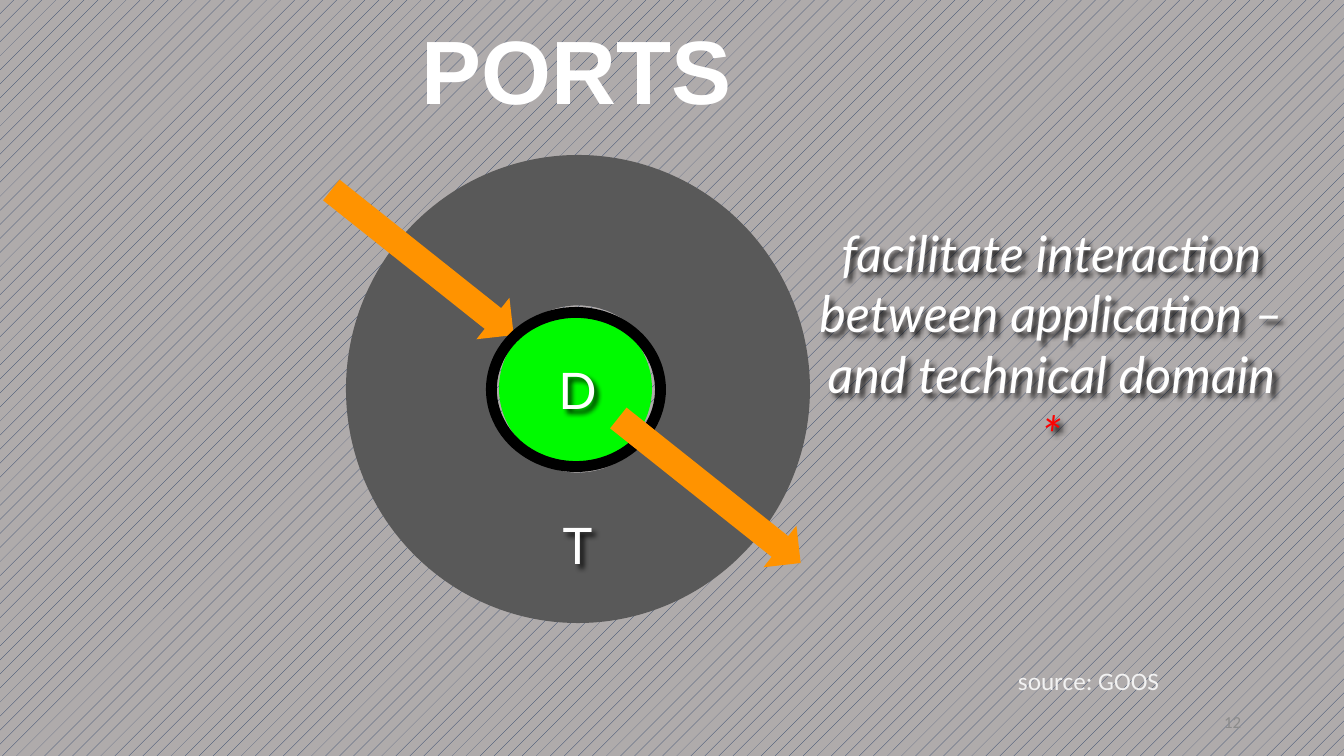
import pptx
import pptx.util
import pptx.dml.color
import pptx.enum.dml
import pptx.enum.shapes
import pptx.enum.text
import pptx.oxml
import pptx.oxml.ns

PX = 9144000 / 1008
SHAPES = pptx.enum.shapes.MSO_SHAPE
ALIGN = pptx.enum.text.PP_ALIGN
ANCHOR = pptx.enum.text.MSO_ANCHOR
WHITE = "FFFFFF"
ORANGE = "FF9300"


def px(*lengths):
    return [pptx.util.Emu(round(length * PX)) for length in lengths]


def color(value):
    return pptx.dml.color.RGBColor.from_string(value)


class SlideBuilder:
    LABEL = {"name": "Lato", "size": pptx.util.Pt(36)}
    TITLE = {"name": "Arial", "size": pptx.util.Pt(64.3), "bold": True}
    SOURCE = {"name": "Calibri", "size": pptx.util.Pt(18)}
    NUMBER = {"name": "Calibri", "size": pptx.util.Pt(12)}

    def __init__(self, presentation):
        self.slide = presentation.slides.add_slide(presentation.slide_layouts[6])

    def background(self, pattern, foreground, background):
        fill = self.slide.background.fill
        fill.patterned()
        fill.pattern = pattern
        fill.fore_color.rgb = color(foreground)
        fill.back_color.rgb = color(background)

    def shape(self, kind, box, fill, adjustment=None, rotation=0):
        shape = self.slide.shapes.add_shape(kind, *px(*box))
        shape.shadow.inherit = False
        shape.fill.solid()
        shape.fill.fore_color.rgb = color(fill)
        shape.line.fill.background()
        shape.rotation = rotation
        if adjustment is not None:
            shape.adjustments[0] = adjustment

    def text(self, box, runs, style, align=ALIGN.CENTER, anchor=ANCHOR.TOP,
             wrap=True, spacing=None, shadow=False):
        """Add one paragraph; runs are pairs of text and colour."""
        shape = self.slide.shapes.add_textbox(*px(*box))
        frame = shape.text_frame
        frame.word_wrap = wrap
        frame.vertical_anchor = anchor
        paragraph = frame.paragraphs[0]
        paragraph.alignment = align
        paragraph.line_spacing = spacing
        for words, tint in runs:
            run = paragraph.add_run()
            run.text = words
            run.font.color.rgb = color(tint)
            for name, value in style.items():
                setattr(run.font, name, value)
        if shadow:
            self.drop_shadow(shape)

    def drop_shadow(self, shape):
        shape._element.spPr.append(pptx.oxml.parse_xml(
            f'<a:effectLst {pptx.oxml.ns.nsdecls("a")}>'
            '<a:outerShdw blurRad="50800" dist="50800" dir="2700000" algn="tl">'
            '<a:srgbClr val="000000"><a:alpha val="80000"/></a:srgbClr>'
            '</a:outerShdw></a:effectLst>'))


def main():
    presentation = pptx.Presentation()
    presentation.slide_width, presentation.slide_height = px(1344, 756)
    builder = SlideBuilder(presentation)
    builder.background(pptx.enum.dml.MSO_PATTERN.PERCENT_5, "203864", "AFABAB")

    builder.shape(SHAPES.OVAL, (499, 312, 153, 153), "00FA00")
    builder.text((1008, 660, 163, 40), [("source: GOOS", "F2F2F2")],
                 builder.SOURCE, align=ALIGN.LEFT, wrap=False)
    builder.shape(SHAPES.DONUT, (346, 155, 464, 468), "595959", 0.324)
    for letter, top in (("D", 354), ("T", 509)):
        builder.text((473, top, 209, 72), [(letter, WHITE)], builder.LABEL, shadow=True)
    builder.text((204, 28, 746, 102), [("PORTS", WHITE)], builder.TITLE,
                 anchor=ANCHOR.MIDDLE, spacing=0.8)
    builder.text((808, 217, 487, 316),
                 [("facilitate interaction between application –and technical domain ", WHITE),
                  ("*", "FF0000")],
                 {**builder.LABEL, "italic": True}, shadow=True)

    builder.shape(SHAPES.RIGHT_ARROW, (306, 236, 233, 53), ORANGE, rotation=38.5)
    builder.shape(SHAPES.DONUT, (486, 307, 180, 165), "000000", 0.066)
    builder.shape(SHAPES.RIGHT_ARROW, (593, 464, 233, 53), ORANGE, rotation=38.5)
    builder.text((1126, 702, 125, 40), [("12", "8B8B8B")], builder.NUMBER,
                 align=ALIGN.RIGHT, anchor=ANCHOR.MIDDLE)

    presentation.save("out.pptx")


if __name__ == "__main__":
    main()
